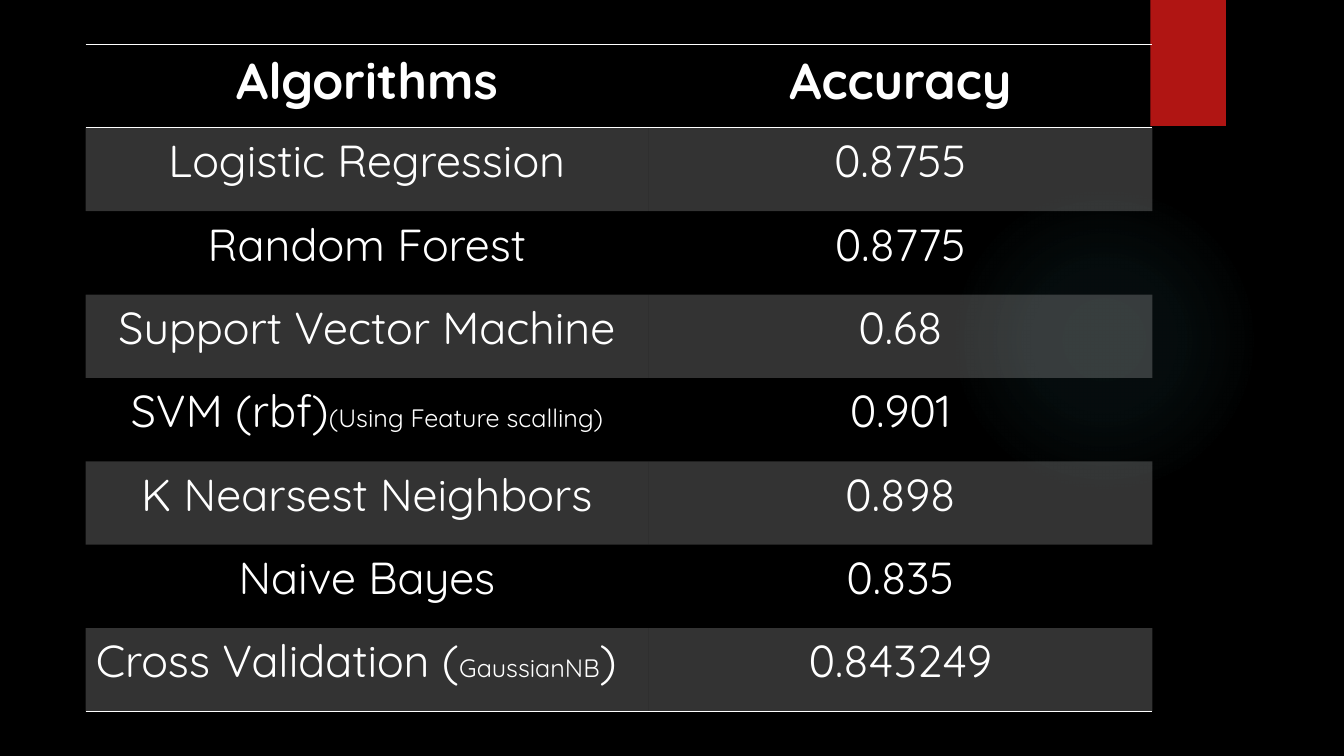
from dataclasses import dataclass

from lxml import etree
from pptx import Presentation
from pptx.dml.color import RGBColor
from pptx.enum.shapes import MSO_CONNECTOR, MSO_SHAPE
from pptx.enum.text import PP_ALIGN
from pptx.oxml import parse_xml
from pptx.oxml.ns import nsdecls, qn
from pptx.util import Inches, Pt

RECT, OVAL = MSO_SHAPE.RECTANGLE, MSO_SHAPE.OVAL
STRAIGHT = MSO_CONNECTOR.STRAIGHT
LEFT, CENTER = PP_ALIGN.LEFT, PP_ALIGN.CENTER
NO_STYLE = "{2D5ABB26-0587-4C30-8999-92F81FD0307C}"


@dataclass(frozen=True)
class Theme:
    font: str = "Quicksand"
    back: str = "000000"
    text: str = "FFFFFF"
    accent: str = "B01513"
    glow: str = "50B9C1"
    band_alpha: int = 20
    head: int = 36
    body: int = 32
    note: int = 18


@dataclass(frozen=True)
class Result:
    name: str
    accuracy: str
    note: str = ""
    tail: str = ""
    align: PP_ALIGN = CENTER


T = Theme()
RESULTS = [
    Result("Logistic Regression", "0.8755"),
    Result("Random Forest", "0.8775"),
    Result("Support Vector Machine", "0.68"),
    Result("SVM (rbf)", "0.901", "(Using Feature scalling)"),
    Result("K Nearsest Neighbors", "0.898"),
    Result("Naive Bayes", "0.835"),
    Result("Cross Validation (", "0.843249", "GaussianNB", ")", LEFT),
]


def rgb(color: str) -> RGBColor:
    return RGBColor.from_string(color)


def add_plain(s, kind, x: float, y: float, w: float, h: float, color: str):
    sp = s.shapes.add_shape(kind, Inches(x), Inches(y), Inches(w), Inches(h))
    sp.shadow.inherit = False
    sp.fill.solid()
    sp.fill.fore_color.rgb = rgb(color)
    sp.line.fill.background()
    return sp


def add_glow(s) -> None:
    sp = add_plain(s, OVAL, 9.41, 1.83, 3.08, 3.08, T.glow)
    stops = "".join(
        f'<a:gs pos="{pos}000"><a:srgbClr val="{T.glow}">'
        f'<a:alpha val="{alpha}000"/></a:srgbClr></a:gs>'
        for pos, alpha in [(0, 7), (36, 6), (69, 0)])
    grad = parse_xml(
        f'<a:gradFill {nsdecls("a")}><a:gsLst>{stops}</a:gsLst>'
        '<a:path path="circle"><a:fillToRect l="50000" t="50000" '
        'r="50000" b="50000"/></a:path></a:gradFill>')
    solid = sp.fill._xPr.find(qn("a:solidFill"))
    solid.getparent().replace(solid, grad)


def write_cell(cell, parts: list[tuple[str, int]], align: PP_ALIGN, bold: bool) -> None:
    p = cell.text_frame.paragraphs[0]
    p.alignment = align
    for text, size in parts:
        r = p.add_run()
        r.text = text
        r.font.name, r.font.size, r.font.bold = T.font, Pt(size), bold
        r.font.color.rgb = rgb(T.text)


def style_cell(cell, banded: bool, edges: list[str]) -> None:
    if banded:
        cell.fill.solid()
        cell.fill.fore_color.rgb = rgb(T.text)
        clr = cell._tc.tcPr.find(".//" + qn("a:srgbClr"))
        etree.SubElement(clr, qn("a:alpha")).set("val", f"{T.band_alpha}000")
    else:
        cell.fill.background()
    # Borders come before the fill
    for i, edge in enumerate(edges):
        cell._tc.tcPr.insert(i, parse_xml(
            f'<a:{edge} {nsdecls("a")} w="12700"><a:solidFill>'
            f'<a:srgbClr val="{T.text}"/></a:solidFill></a:{edge}>'))


def add_results(s) -> None:
    rows = len(RESULTS) + 1
    frame = s.shapes.add_table(rows, 2, Inches(0.85), Inches(0.44),
                               Inches(10.58), Inches(6.62))
    table = frame.table
    table.horz_banding = False
    table._tbl.tblPr.find(qn("a:tableStyleId")).text = NO_STYLE
    for col, width in zip(table.columns, (5.58, 5)):
        col.width = Inches(width)

    # Wording
    for c, title in enumerate(("Algorithms", "Accuracy")):
        write_cell(table.cell(0, c), [(title, T.head)], CENTER, True)
    for i, res in enumerate(RESULTS, 1):
        parts = [(res.name, T.body), (res.note, T.note), (res.tail, T.body)]
        write_cell(table.cell(i, 0), [part for part in parts if part[0]], res.align, False)
        write_cell(table.cell(i, 1), [(res.accuracy, T.body)], CENTER, False)

    # Bands and rules
    edges = {0: ["lnT", "lnB"], rows - 1: ["lnB"]}
    for i in range(rows):
        for c in range(2):
            style_cell(table.cell(i, c), i % 2 == 1, edges.get(i, []))


def add_dot(s) -> None:
    x, y = Inches(6.85), Inches(0.23)
    line = s.shapes.add_connector(STRAIGHT, x, y, x, y)
    line.line.color.rgb = rgb(T.accent)
    line.line.width = Pt(0.75)
    etree.SubElement(line._element.spPr, qn("a:effectLst"))


def main() -> None:
    prs = Presentation()
    prs.slide_width, prs.slide_height = Inches(13.33), Inches(7.5)
    s = prs.slides.add_slide(prs.slide_layouts[6])
    s.background.fill.solid()
    s.background.fill.fore_color.rgb = rgb(T.back)

    # Backdrop
    add_glow(s)
    add_plain(s, RECT, 11.41, 0, 0.75, 1.25, T.accent)

    # Content
    add_results(s)
    add_dot(s)
    prs.save("out.pptx")


if __name__ == "__main__":
    main()
